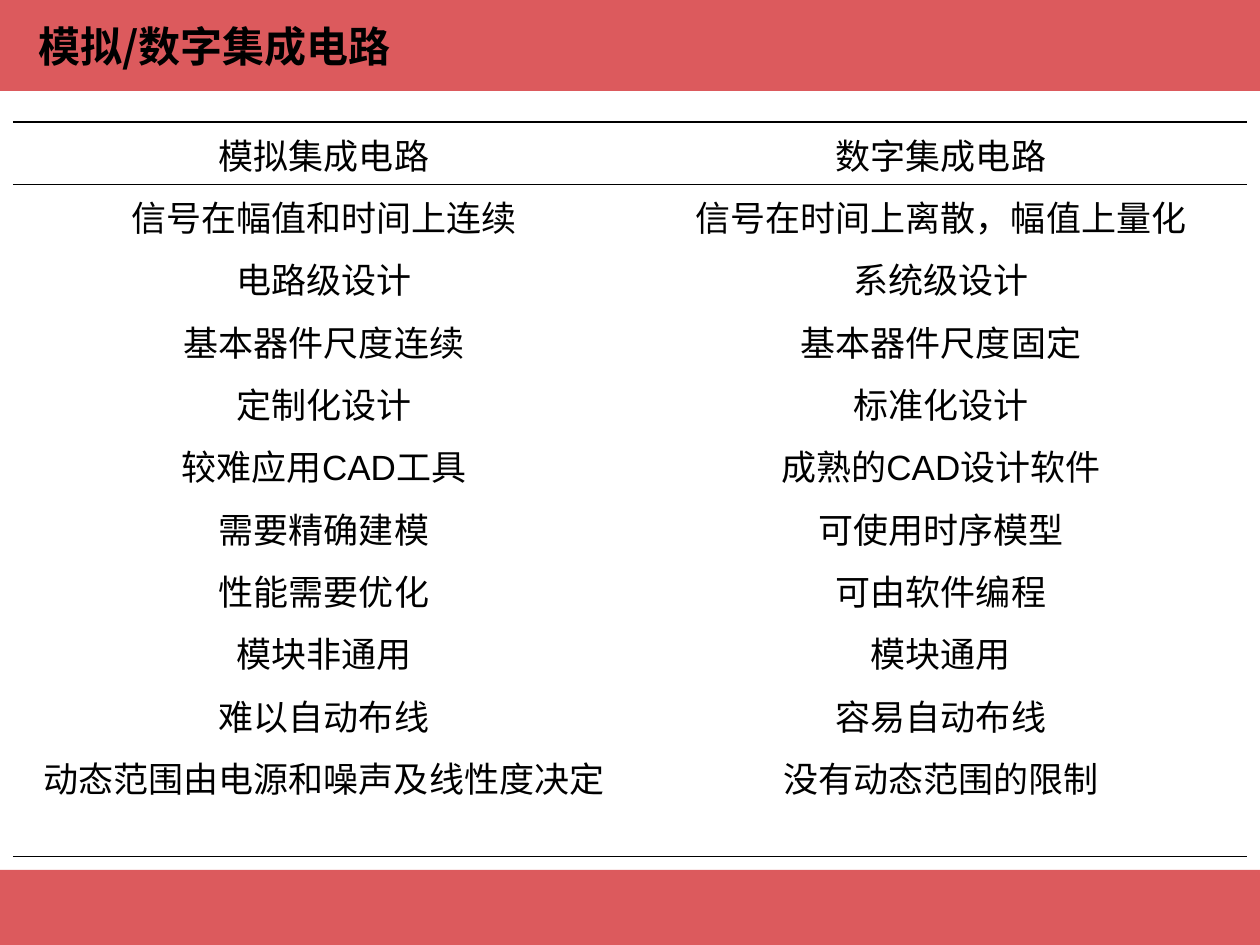
"""Build a slide comparing analog and digital integrated circuits in a ruled table."""
from lxml import etree
from pptx import Presentation
from pptx import util as u
from pptx.dml.color import RGBColor
from pptx.enum import shapes, text
from pptx.oxml.ns import qn

BLACK = RGBColor(0, 0, 0)
RED = RGBColor(0xDC, 0x5A, 0x5D)
CJK_FONT = "Noto Sans CJK SC"
ROWS = [
    ("模拟集成电路", "数字集成电路"),
    ("信号在幅值和时间上连续", "信号在时间上离散，幅值上量化"),
    ("电路级设计", "系统级设计"),
    ("基本器件尺度连续", "基本器件尺度固定"),
    ("定制化设计", "标准化设计"),
    ("较难应用CAD工具", "成熟的CAD设计软件"),
    ("需要精确建模", "可使用时序模型"),
    ("性能需要优化", "可由软件编程"),
    ("模块非通用", "模块通用"),
    ("难以自动布线", "容易自动布线"),
    ("动态范围由电源和噪声及线性度决定", "没有动态范围的限制"),
]


def px(count):
    return u.Emu(round(count * 914400 / 126))


def write(para, words, size, latin, bold=False):
    para.text = words
    for font in (para.font, para.runs[0].font):
        font.size, font.name, font.bold = u.Pt(size), latin, bold
        font.color.rgb = BLACK
    for latin_tag in list(para._p.iter(qn("a:latin"))):
        east_asian = etree.Element(qn("a:ea"), typeface=CJK_FONT)
        latin_tag.addnext(east_asian)


deck = Presentation()
deck.slide_width, deck.slide_height = px(1260), px(945)
page = deck.slides.add_slide(deck.slide_layouts[6])

for top, height in ((0, 91), (870, 75)):
    band = page.shapes.add_shape(
        shapes.MSO_SHAPE.RECTANGLE, 0, px(top), px(1260), px(height))
    band.shadow.inherit = False
    band.fill.solid()
    band.fill.fore_color.rgb = RED
    band.line.fill.background()

title = page.shapes.add_textbox(px(26), px(14), px(433), px(63))
title.text_frame.word_wrap = True
title.text_frame.auto_size = text.MSO_AUTO_SIZE.SHAPE_TO_FIT_TEXT
write(title.text_frame.paragraphs[0], "模拟/数字集成电路", 24, CJK_FONT, True)

table = page.shapes.add_table(
    len(ROWS), 2, px(13), px(122), px(1234), px(735)).table
table.first_row = table.horz_banding = False
for column, width in zip(table.columns, (622, 612)):
    column.width = px(width)
for row in table.rows:
    row.height = px(624) // 10
table.rows[len(ROWS) - 1].height = px(111)

for row_index, entries in enumerate(ROWS):
    ruled = set()
    if row_index == 0:
        ruled = {"lnT", "lnB"}
    elif row_index == 1:
        ruled = {"lnT"}
    elif row_index == len(ROWS) - 1:
        ruled = {"lnB"}
    for column_index, words in enumerate(entries):
        cell = table.cell(row_index, column_index)
        cell.fill.background()
        para = cell.text_frame.paragraphs[0]
        write(para, words, 20, "Arial")
        para.alignment = text.PP_ALIGN.CENTER
        spacing = etree.Element(qn("a:spcBef"))
        etree.SubElement(spacing, qn("a:spcPct"), val="20000")
        para._p.get_or_add_pPr().insert(0, spacing)
        properties = cell._tc.get_or_add_tcPr()
        for position, side in enumerate(("lnL", "lnR", "lnT", "lnB")):
            border = etree.Element(qn(f"a:{side}"), w=str(u.Pt(1)))
            if side in ruled:
                paint = etree.SubElement(border, qn("a:solidFill"))
                etree.SubElement(paint, qn("a:srgbClr"), val=str(BLACK))
            else:
                etree.SubElement(border, qn("a:noFill"))
            properties.insert(position, border)

deck.save("out.pptx")
